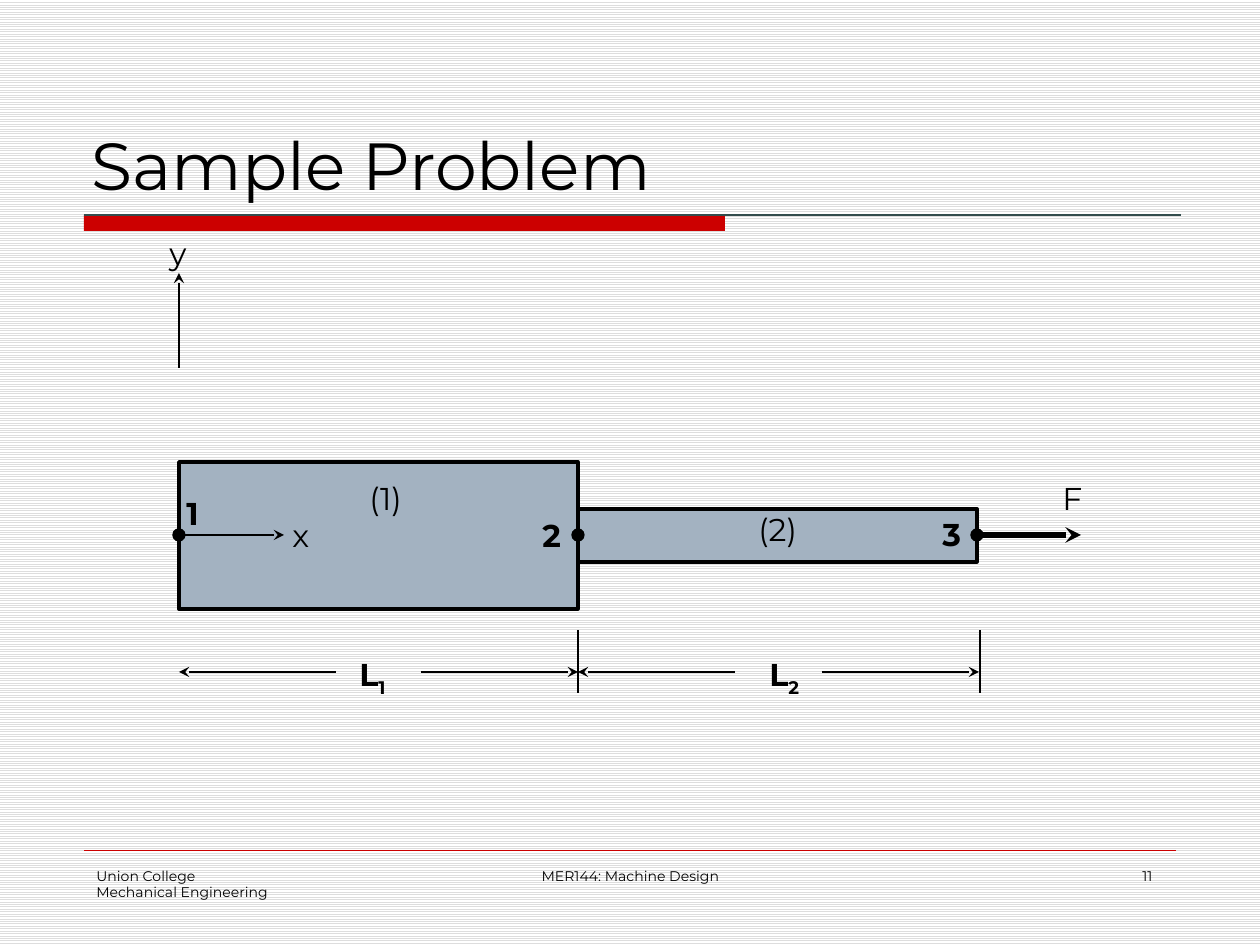
from dataclasses import dataclass

from lxml.etree import SubElement
from pptx import Presentation
from pptx.dml.color import RGBColor
from pptx.enum.dml import MSO_PATTERN
from pptx.enum.shapes import MSO_CONNECTOR, MSO_SHAPE
from pptx.enum.text import MSO_ANCHOR, MSO_AUTO_SIZE, PP_ALIGN
from pptx.oxml.ns import qn
from pptx.util import Emu, Pt

PX_PER_INCH = 126
FONT = "Montserrat"
COLORS = {
    "ink": "000000",
    "red": "CC0000",
    "rule": "334D4D",
    "steel": "A3B2C1",
    "stripe": "DDDDDD",
    "paper": "FFFFFF",
}


@dataclass(frozen=True)
class Label:
    text: str
    left: int
    top: int
    width: int
    height: int = 50
    size: int = 18
    bold: bool = False
    subscript: str = ""
    wrap: bool = True
    align: PP_ALIGN = PP_ALIGN.LEFT


@dataclass(frozen=True)
class Line:
    x1: int
    y1: int
    x2: int
    y2: int
    weight: float = 1
    color: str = "ink"
    arrow: bool = False


@dataclass(frozen=True)
class Block:
    left: int
    top: int
    width: int
    height: int
    fill: str
    outline: float = 0
    kind: MSO_SHAPE = MSO_SHAPE.RECTANGLE


def px(length: int) -> Emu:
    return Emu(round(length * 914400 / PX_PER_INCH))


def rgb(name: str) -> RGBColor:
    return RGBColor.from_string(COLORS[name])


def style_font(font, size: int, bold: bool = False) -> None:
    font.name = FONT
    font.size = Pt(size)
    font.bold = bold
    font.color.rgb = rgb("ink")


def draw_block(slide, block: Block) -> None:
    shape = slide.shapes.add_shape(
        block.kind, px(block.left), px(block.top), px(block.width), px(block.height)
    )
    shape.shadow.inherit = False
    shape.fill.solid()
    shape.fill.fore_color.rgb = rgb(block.fill)
    if block.outline:
        shape.line.color.rgb = rgb("ink")
        shape.line.width = Pt(block.outline)
    else:
        shape.line.fill.background()


def draw_line(slide, line: Line) -> None:
    connector = slide.shapes.add_connector(
        MSO_CONNECTOR.STRAIGHT, px(line.x1), px(line.y1), px(line.x2), px(line.y2)
    )
    connector.line.color.rgb = rgb(line.color)
    connector.line.width = Pt(line.weight)
    if line.arrow:
        SubElement(connector.line._get_or_add_ln(), qn("a:tailEnd"), type="stealth")
    SubElement(connector._element.spPr, qn("a:effectLst"))


def draw_label(slide, label: Label) -> None:
    box = slide.shapes.add_textbox(
        px(label.left), px(label.top), px(label.width), px(label.height)
    )
    frame = box.text_frame
    frame.word_wrap = label.wrap
    frame.text = label.text
    if label.subscript:
        run = frame.paragraphs[0].add_run()
        run.text = label.subscript
        run._r.get_or_add_rPr().set("baseline", "-25000")
    for paragraph in frame.paragraphs:
        paragraph.alignment = label.align
        for run in paragraph.runs:
            style_font(run.font, label.size, label.bold)


def draw_title(slide, text: str) -> None:
    title = slide.shapes.title
    title.left, title.top, title.width, title.height = px(79), px(42), px(1103), px(168)
    frame = title.text_frame
    frame.text = text
    frame.auto_size = MSO_AUTO_SIZE.NONE
    frame.vertical_anchor = MSO_ANCHOR.BOTTOM
    frame.paragraphs[0].alignment = PP_ALIGN.LEFT
    style_font(frame.paragraphs[0].runs[0].font, 38)


# The three nodes of the stepped bar lie on one axis.
NODE_1, NODE_2, NODE_3 = 179, 578, 977
AXIS_Y = 535
DIMENSION_Y = 672
ARROW_LENGTH = 157
DOT = 12
FOOTER_TOP = 861


def centered_bar(start: int, end: int, height: int) -> Block:
    return Block(start, AXIS_Y - height // 2, end - start, height, "steel", 2)


def draw_frame(slide) -> None:
    draw_block(slide, Block(84, 215, 641, 16, "red"))
    draw_line(slide, Line(84, 215, 1181, 215, 0.75, "rule"))
    draw_line(slide, Line(84, 850, 1176, 850, 0.25, "red"))
    for footer in (
        Label("Union College\nMechanical Engineering", 84, FOOTER_TOP, 262, 63, 8),
        Label("MER144: Machine Design", 431, FOOTER_TOP, 399, 63, 8,
              align=PP_ALIGN.CENTER),
        Label("11", 903, FOOTER_TOP, 262, 63, 8, align=PP_ALIGN.RIGHT),
    ):
        draw_label(slide, footer)


def draw_bar(slide) -> None:
    draw_block(slide, centered_bar(NODE_1, NODE_2, 147))
    draw_block(slide, centered_bar(NODE_2, NODE_3, 53))
    draw_line(slide, Line(NODE_1, 368, NODE_1, 273, arrow=True))
    draw_line(slide, Line(NODE_1, AXIS_Y, 284, AXIS_Y, arrow=True))
    draw_line(slide, Line(NODE_3, AXIS_Y, 1081, AXIS_Y, 3, arrow=True))
    for node in (NODE_1, NODE_2, NODE_3):
        draw_block(slide, Block(node - DOT // 2, AXIS_Y - DOT // 2, DOT, DOT,
                                "ink", 0.75, MSO_SHAPE.OVAL))


def draw_dimensions(slide) -> None:
    for x in (NODE_2, 980):
        draw_line(slide, Line(x, 630, x, 693))
    for start, end in ((NODE_1, NODE_2), (NODE_2, 979)):
        for tip, inward in ((start, ARROW_LENGTH), (end, -ARROW_LENGTH)):
            draw_line(slide, Line(tip + inward, DIMENSION_Y, tip, DIMENSION_Y,
                                  arrow=True))


def draw_labels(slide) -> None:
    for label in (
        Label("L", 347, 649, 73, bold=True, subscript="1"),
        Label("L", 757, 649, 73, bold=True, subscript="2"),
        Label("1", 174, 488, 47, bold=True, wrap=False),
        Label("2", 530, 510, 47, bold=True, wrap=False),
        Label("3", 930, 509, 47, bold=True, wrap=False),
        Label("(1)", 357, 473, 73),
        Label("(2)", 746, 504, 73),
        Label("F", 1050, 473, 47, wrap=False),
        Label("x", 280, 510, 42),
        Label("y", 157, 228, 45, wrap=False),
    ):
        draw_label(slide, label)


def main() -> None:
    presentation = Presentation()
    presentation.slide_width, presentation.slide_height = px(1260), px(945)
    slide = presentation.slides.add_slide(presentation.slide_layouts[5])
    backdrop = slide.background.fill
    backdrop.patterned()
    backdrop.pattern = MSO_PATTERN.LIGHT_HORIZONTAL
    backdrop.fore_color.rgb = rgb("stripe")
    backdrop.back_color.rgb = rgb("paper")

    draw_frame(slide)
    draw_title(slide, "Sample Problem")
    draw_bar(slide)
    draw_dimensions(slide)
    draw_labels(slide)
    presentation.save("out.pptx")


if __name__ == "__main__":
    main()
